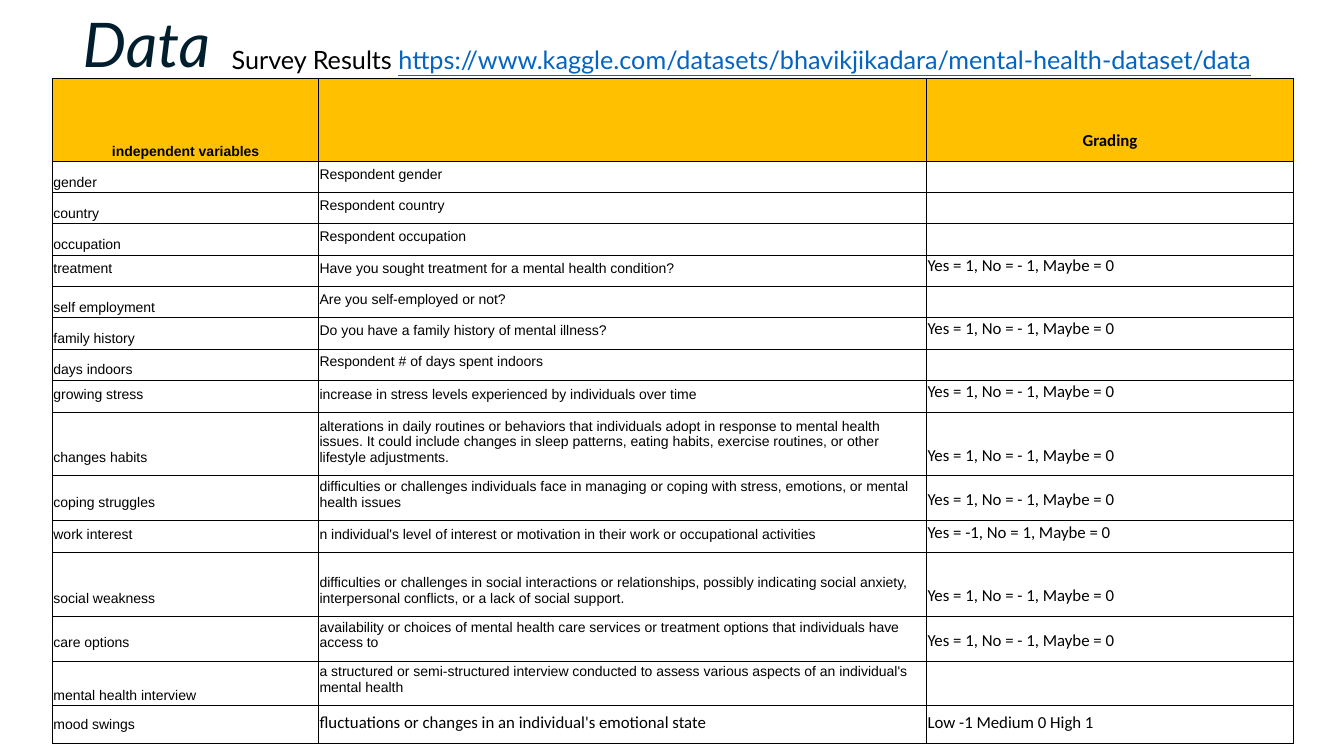
"""Build the survey data slide with its table of variables and grading."""
from pptx import Presentation
from pptx.dml.color import RGBColor
from pptx.enum.text import MSO_ANCHOR, PP_ALIGN
from pptx.oxml import parse_xml
from pptx.oxml.ns import nsdecls
from pptx.util import Inches, Pt

TITLE = "Data"
SURVEY_LABEL = "Survey Results "
SURVEY_ADDRESS = "https://www.kaggle.com/datasets/bhavikjikadara/mental-health-dataset/data"
YES_POSITIVE = "Yes = 1, No = - 1, Maybe = 0"
YES_NEGATIVE = "Yes = -1, No = 1, Maybe = 0"
VARIABLES = [
    ("independent variables", "", "Grading", 0.82),
    ("gender", "Respondent gender", "", 0.31),
    ("country", "Respondent country", "", 0.31),
    ("occupation", "Respondent occupation", "", 0.31),
    ("treatment", "Have you sought treatment for a mental health condition?", YES_POSITIVE, 0.31),
    ("self employment", "Are you self-employed or not?", "", 0.31),
    ("family history", "Do you have a family history of mental illness?", YES_POSITIVE, 0.31),
    ("days indoors", "Respondent # of days spent indoors", "", 0.31),
    ("growing stress", "increase in stress levels experienced by individuals over time",
     YES_POSITIVE, 0.32),
    ("changes habits", "alterations in daily routines or behaviors that individuals adopt in "
     "response to mental health issues. It could include changes in sleep patterns, eating "
     "habits, exercise routines, or other lifestyle adjustments.", YES_POSITIVE, 0.63),
    ("coping struggles", "difficulties or challenges individuals face in managing or coping "
     "with stress, emotions, or mental health issues", YES_POSITIVE, 0.42),
    ("work interest", "n individual's level of interest or motivation in their work or "
     "occupational activities", YES_NEGATIVE, 0.32),
    ("social weakness", "difficulties or challenges in social interactions or relationships, "
     "possibly indicating social anxiety, interpersonal conflicts, or a lack of social support.",
     YES_POSITIVE, 0.63),
    ("care options", "availability or choices of mental health care services or treatment "
     "options that individuals have access to", YES_POSITIVE, 0.42),
    ("mental health interview", "a structured or semi-structured interview conducted to assess "
     "various aspects of an individual's mental health", "", 0.42),
    ("mood swings", "fluctuations or changes in an individual's emotional state",
     "Low -1 Medium 0 High 1", 0.37),
]
LOW_SET = {"independent variables", "gender", "country", "occupation", "self employment",
           "family history", "days indoors", "mental health interview"}
COLUMN_WIDTHS = (2.64, 6.03, 3.64)
BLACK, NAVY, LINK_BLUE, AMBER = "000000", "001E2E", "0563C1", "FFC000"


def rgb(value):
    return RGBColor.from_string(value)


def write(paragraph, words, size=10, face="Arial", color=BLACK, bold=False, italic=False,
          underline=False, align=PP_ALIGN.LEFT, spacing=1.0):
    paragraph.alignment = align
    paragraph.line_spacing = spacing
    run = paragraph.add_run()
    run.text = words
    font = run.font
    font.size, font.name = Pt(size), face
    font.bold, font.italic, font.underline = bold, italic, underline
    font.color.rgb = rgb(color)


def outline(cell):
    properties = cell._tc.get_or_add_tcPr()
    for side in "LRTB":
        properties.append(parse_xml(
            f'<a:ln{side} {nsdecls("a")} w="4763"><a:solidFill><a:srgbClr val="{BLACK}"/>'
            f'</a:solidFill></a:ln{side}>'))


def fill_cell(cell, words, header, low, calibri):
    outline(cell)
    cell.vertical_anchor = MSO_ANCHOR.BOTTOM
    cell.margin_left = cell.margin_right = Inches(0.01)
    cell.margin_top = Inches(0.02 if low else 0.01)
    cell.margin_bottom = Inches(0.02 if low else 0.1)
    if header:
        cell.fill.solid()
        cell.fill.fore_color.rgb = rgb(AMBER)
    else:
        cell.fill.background()
    paragraph = cell.text_frame.paragraphs[0]
    if words:
        write(paragraph, words, size=12 if calibri else 10,
              face="Calibri" if calibri else "Arial", bold=header,
              align=PP_ALIGN.CENTER if header else PP_ALIGN.LEFT,
              spacing=1.15 if header else 1.0)
    else:
        paragraph._p.get_or_add_endParaRPr().set("sz", "1000")


def add_heading(slide):
    title = slide.shapes.title
    title.left, title.top, title.width, title.height = map(Inches, (0.72, -0.28, 10.83, 1.51))
    title.text_frame.vertical_anchor = MSO_ANCHOR.MIDDLE
    write(title.text_frame.paragraphs[0], TITLE, size=44, face="Lato", color=NAVY,
          italic=True, spacing=0.9)

    survey = slide.shapes.add_textbox(*map(Inches, (2.2, 0.29, 12.06, 5.76))).text_frame
    survey.word_wrap = True
    survey.margin_left = survey.margin_right = Inches(0.1)
    survey.margin_top = survey.margin_bottom = Inches(0.1)
    source = survey.paragraphs[0]
    write(source, SURVEY_LABEL, size=18, face="Lato", spacing=1.15)
    write(source, SURVEY_ADDRESS, size=18, face="Lato", color=LINK_BLUE, underline=True,
          spacing=1.15)


def add_variables(slide):
    total_height = sum(height for *_, height in VARIABLES)
    table = slide.shapes.add_table(
        len(VARIABLES), len(COLUMN_WIDTHS), Inches(0.52), Inches(0.78),
        Inches(sum(COLUMN_WIDTHS)), Inches(total_height)).table
    table.first_row = table.horz_banding = False
    for column, width in zip(table.columns, COLUMN_WIDTHS):
        column.width = Inches(width)
    for r, (variable, meaning, grading, height) in enumerate(VARIABLES):
        table.rows[r].height = Inches(height)
        for c, words in enumerate((variable, meaning, grading)):
            fill_cell(table.cell(r, c), words, header=r == 0,
                      low=c == 0 and variable in LOW_SET,
                      calibri=c == 2 or (c == 1 and variable == "mood swings"))


def main():
    deck = Presentation()
    deck.slide_width, deck.slide_height = Inches(13.33), Inches(7.5)
    slide = deck.slides.add_slide(deck.slide_layouts[5])
    add_heading(slide)
    add_variables(slide)
    deck.save("out.pptx")


if __name__ == "__main__":
    main()
